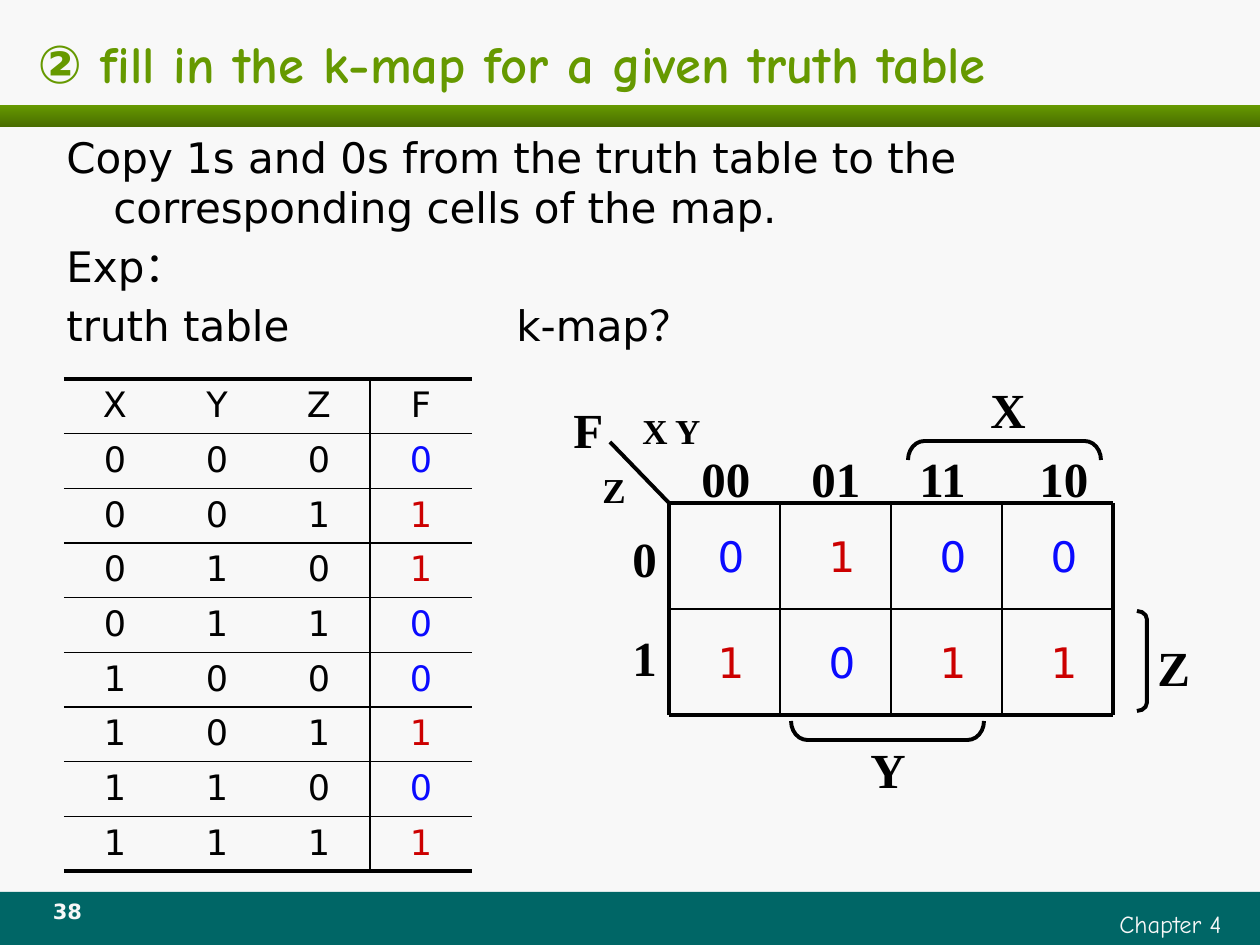
from typing import NamedTuple

from lxml.etree import SubElement
from pptx import Presentation
from pptx.dml.color import RGBColor
from pptx.enum.shapes import MSO_CONNECTOR, MSO_SHAPE
from pptx.enum.text import MSO_ANCHOR, PP_ALIGN
from pptx.oxml.ns import qn
from pptx.util import Emu, Pt

EMU_PER_PX = 914400 / 126
COLORS = {
    "background": "F8F8F8", "footer": "006666", "green": "669900",
    "dark green": "496D00", "black": "000000", "0": "0A0AFF", "1": "CC0000",
}
COMIC, SANS, SERIF = "Comic Neue", "DejaVu Sans", "Times New Roman"
THIN, THICK = 1, 2.25

OUTPUTS = "01100101"  # F for XYZ = 000 to 111
GRAY_CODE = ("00", "01", "11", "10")
MAP_LEFT, MAP_TOP, CELL_WIDTH, CELL_HEIGHT = 669, 503, 111, 106
TABLE_LEFT, TABLE_TOP, COLUMN_WIDTH, TABLE_HEIGHT = 64, 379, 102, 489


class Box(NamedTuple):
    left: int
    top: int
    width: int
    height: int


class Label(NamedTuple):
    text: str
    left: int
    top: int
    width: int
    size: int = 28


class Bracket(NamedTuple):
    box: Box
    rotation: int
    curve: float


LABELS = [
    Label("F", 561, 393, 69), Label("X Y", 630, 403, 89, 20), Label("Z", 590, 462, 49, 20),
    *(Label(code, left, 442, 79) for code, left in zip(GRAY_CODE, (689, 799, 907, 1027))),
    Label("X", 978, 373, 59), Label("Y", 858, 733, 59), Label("Z", 1145, 631, 49),
    Label("0", 620, 522, 49), Label("1", 620, 621, 49),
]
BRACKETS = [
    Bracket(Box(1137, 611, 10, 100), 0, 0.84),
    Bracket(Box(995, 354, 19, 193), 270, 0.86),
    Bracket(Box(878, 634, 19, 193), 90, 0.86),
]


def px(length: float) -> Emu:
    return Emu(round(length * EMU_PER_PX))


def color(name: str) -> RGBColor:
    return RGBColor.from_string(COLORS[name])


def write(frame, text: str, *, size: float, font: str = SANS, color_name: str = "black",
          bold: bool = False, align=PP_ALIGN.LEFT, anchor=MSO_ANCHOR.TOP,
          space_between: float = 0) -> None:
    """Fill a text frame, one paragraph for each line of the text."""
    frame.word_wrap = True
    frame.vertical_anchor = anchor
    frame.text = text
    for index, paragraph in enumerate(frame.paragraphs):
        paragraph.alignment = align
        paragraph.space_before = Pt(space_between if index else 0)
        for run in paragraph.runs:
            run.font.size, run.font.name, run.font.bold = Pt(size), font, bold
            run.font.color.rgb = color(color_name)


def add_text(shapes, box: Box, text: str, **text_format):
    shape = shapes.add_textbox(*map(px, box))
    write(shape.text_frame, text, **text_format)
    return shape.text_frame


def add_bar(shapes, box: Box):
    bar = shapes.add_shape(MSO_SHAPE.RECTANGLE, *map(px, box))
    bar.shadow.inherit = False
    bar.line.fill.background()
    return bar.fill


def add_line(shapes, start: tuple[int, int], end: tuple[int, int], width: float) -> None:
    line = shapes.add_connector(MSO_CONNECTOR.STRAIGHT, *map(px, (*start, *end)))
    line.line.color.rgb = color("black")
    line.line.width = Pt(width)
    SubElement(line._element.spPr, qn("a:effectLst"))


def add_bracket(shapes, bracket: Bracket) -> None:
    shape = shapes.add_shape(MSO_SHAPE.RIGHT_BRACKET, *map(px, bracket.box))
    shape.adjustments[0] = bracket.curve
    shape.rotation = bracket.rotation
    shape.shadow.inherit = False
    shape.fill.background()
    shape.line.color.rgb = color("black")
    shape.line.width = Pt(THICK)


def set_borders(cell, **widths: float) -> None:
    """Draw the named sides (lnL, lnR, lnT, lnB, in that order)."""
    properties = cell._tc.get_or_add_tcPr()
    for position, (side, width) in enumerate(widths.items()):
        line = properties.makeelement(qn(f"a:{side}"), {"w": str(Pt(width))})
        fill = SubElement(line, qn("a:solidFill"))
        SubElement(fill, qn("a:srgbClr"), val=COLORS["black"])
        properties.insert(position, line)


def add_truth_table(shapes) -> None:
    rows = ["XYZF"] + [f"{index:03b}{output}" for index, output in enumerate(OUTPUTS)]
    box = Box(TABLE_LEFT, TABLE_TOP, 4 * COLUMN_WIDTH, TABLE_HEIGHT)
    table = shapes.add_table(len(rows), 4, *map(px, box)).table
    table.first_row = table.horz_banding = False
    style = table._tbl.tblPr.find(qn("a:tableStyleId"))
    style.text = "{2D5ABB26-0587-4C30-8999-92F81FD0307C}"  # no style, no grid
    last = len(rows) - 1
    for row_index, row in enumerate(rows):
        for column, value in enumerate(row):
            cell = table.cell(row_index, column)
            is_output = column == 3 and row_index > 0
            write(cell.text_frame, value, size=20, align=PP_ALIGN.CENTER,
                  color_name=value if is_output else "black")
            cell.fill.background()
            sides = {"lnL": THIN} if column == 3 else {"lnR": THIN} if column == 2 else {}
            set_borders(cell, **sides, lnT=THIN if row_index else THICK,
                        lnB=THICK if row_index == last else THIN)


def add_map(shapes) -> None:
    right, bottom = MAP_LEFT + 4 * CELL_WIDTH, MAP_TOP + 2 * CELL_HEIGHT
    for row in range(2):
        for column, code in enumerate(GRAY_CODE):
            value = OUTPUTS[int(f"{code}{row}", 2)]
            box = Box(MAP_LEFT + column * CELL_WIDTH, MAP_TOP + row * CELL_HEIGHT,
                      CELL_WIDTH, CELL_HEIGHT)
            frame = add_text(shapes, box, value, size=24, color_name=value,
                             align=PP_ALIGN.CENTER, anchor=MSO_ANCHOR.MIDDLE)
            frame.margin_left, frame.margin_right = px(26), px(13)
    for row in range(3):
        y = MAP_TOP + row * CELL_HEIGHT
        add_line(shapes, (MAP_LEFT, y), (right, y), THIN if row == 1 else THICK)
    for column in range(5):
        x = MAP_LEFT + column * CELL_WIDTH
        add_line(shapes, (x, MAP_TOP), (x, bottom), THICK if column in (0, 4) else THIN)
    add_line(shapes, (MAP_LEFT, MAP_TOP), (610, 442), THICK)
    for label in LABELS:
        height = 72 if label.size == 28 else 54
        add_text(shapes, Box(label.left, label.top, label.width, height), label.text,
                 size=label.size, font=SERIF, bold=True)
    for bracket in BRACKETS:
        add_bracket(shapes, bracket)


def add_body(shapes) -> None:
    lines = ("Copy 1s and 0s from the truth table to the corresponding cells of the map.",
             "Exp：", "truth table\tk-map？")
    frame = add_text(shapes, Box(54, 125, 1163, 774), "\n".join(lines), size=24,
                     space_between=5)
    hanging = frame.paragraphs[0]._p.get_or_add_pPr()
    hanging.set("marL", str(px(47)))
    hanging.set("indent", str(px(-47)))
    tabs = SubElement(frame.paragraphs[2]._p.get_or_add_pPr(), qn("a:tabLst"))
    SubElement(tabs, qn("a:tab"), pos=str(px(450)), algn="l")


def main() -> None:
    presentation = Presentation()
    presentation.slide_width, presentation.slide_height = px(1260), px(945)
    slide = presentation.slides.add_slide(presentation.slide_layouts[5])
    shapes = slide.shapes
    slide.background.fill.solid()
    slide.background.fill.fore_color.rgb = color("background")

    footer = add_bar(shapes, Box(0, 892, 1260, 53))
    footer.solid()
    footer.fore_color.rgb = color("footer")
    header = add_bar(shapes, Box(0, 105, 1260, 22))
    header.gradient()
    header.gradient_angle = 270
    for stop, name in zip(header.gradient_stops, ("green", "dark green")):
        stop.color.rgb = color(name)

    title = shapes.title
    title.left, title.top, title.width, title.height = map(px, Box(25, 21, 1203, 84))
    write(title.text_frame, "② fill in the k-map for a given truth table", size=30,
          font=COMIC, color_name="green", bold=True, anchor=MSO_ANCHOR.MIDDLE)
    add_text(shapes, Box(730, 903, 504, 42), "Chapter 4", size=14, font=COMIC,
             color_name="background", align=PP_ALIGN.RIGHT)
    add_text(shapes, Box(31, 892, 73, 42), "38", size=12, bold=True,
             color_name="background", align=PP_ALIGN.CENTER)
    add_body(shapes)
    add_truth_table(shapes)
    add_map(shapes.add_group_shape().shapes)
    presentation.save("out.pptx")


if __name__ == "__main__":
    main()
